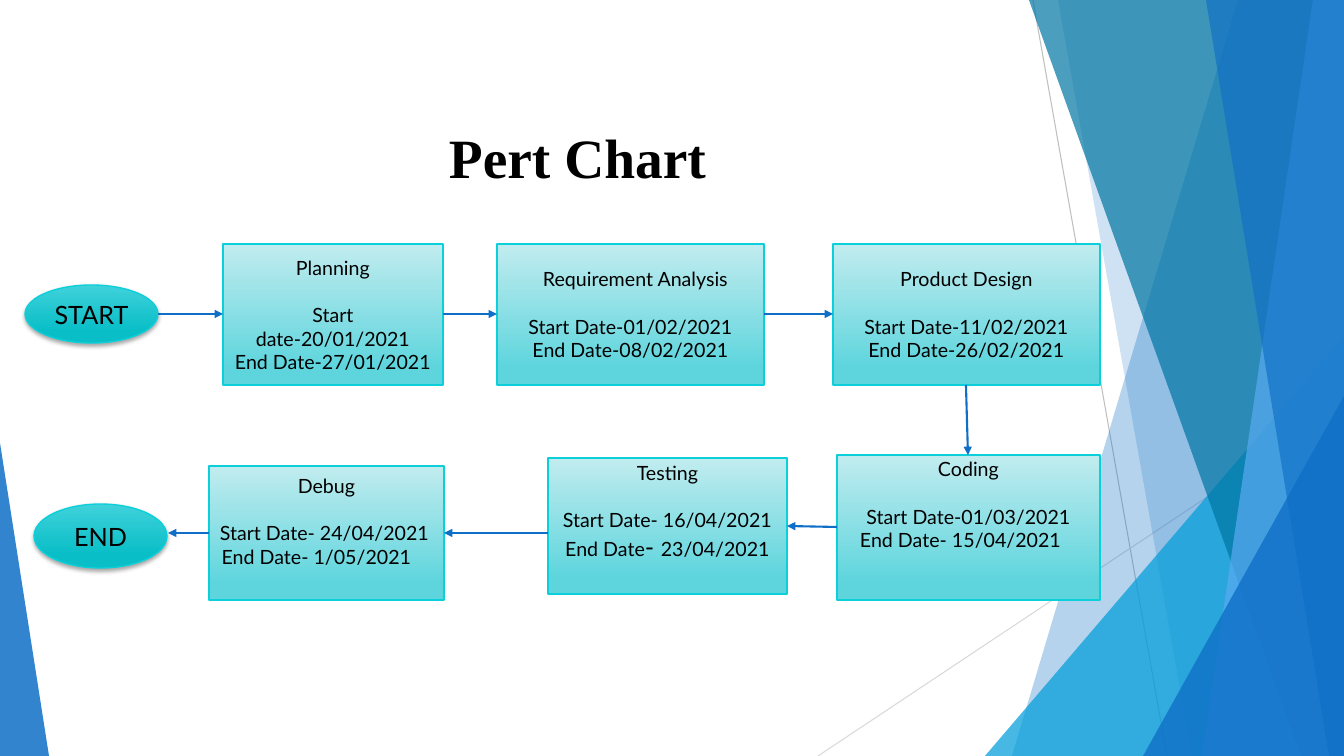
from lxml.etree import SubElement
from pptx import Presentation
from pptx.dml.color import RGBColor
from pptx.enum.shapes import MSO_CONNECTOR, MSO_SHAPE
from pptx.enum.text import MSO_ANCHOR, PP_ALIGN
from pptx.oxml.ns import qn
from pptx.util import Pt

PX = 914400 / 100.8
WIDTH, HEIGHT = 1344, 756

BLACK = RGBColor(0x00, 0x00, 0x00)
BLUE = RGBColor(0x0F, 0x6F, 0xC6)
SKY = RGBColor(0x00, 0x9D, 0xD9)
TEAL = RGBColor(0x00, 0x76, 0xA3)
LIGHT_BLUE = RGBColor(0x59, 0xAA, 0xF2)
GREY = RGBColor(0xBF, 0xBF, 0xBF)
PALE_GREY = RGBColor(0xD9, 0xD9, 0xD9)
CYAN = RGBColor(0x0B, 0xD0, 0xD9)
BOX_STOPS = (0, RGBColor(0xC1, 0xEC, 0xEF)), (0.88, RGBColor(0x5E, 0xD5, 0xDD))
OVAL_STOPS = (0, RGBColor(0x3F, 0xD2, 0xDB)), (0.78, RGBColor(0x0A, 0xBE, 0xC7))

# Full-height bands: x at the top, x at the bottom, colour, opacity in percent
BACK_BANDS = [(1238, 1012, BLUE, 30), (1058, 1192, BLUE, 20)]
FRONT_BANDS = [(1029, 1301, TEAL, 70), (1313, 1202, LIGHT_BLUE, 70),
               (1206, 1329, BLUE, 65)]

# Box, lines of text, upward lift of the text, sideways shift of each line
ACTIVITIES = [
    ((223, 244, 220, 141),
     ["Planning", "Start date-20/01/2021", "End Date-27/01/2021"], 0, (0, 0, 0)),
    ((497, 244, 267, 141),
     ["Requirement Analysis", "Start Date-01/02/2021", "End Date-08/02/2021"],
     0, (5, 0, 0)),
    ((833, 244, 267, 141),
     ["Product Design", "Start Date-11/02/2021", "End Date-26/02/2021"],
     0, (0, 0, 0)),
    ((548, 458, 239, 136),
     ["Testing", "Start Date- 16/04/2021",
      [("End Date", 14), ("- ", 18), ("23/04/2021", 14)]], 15, (0, 0, 0)),
    ((837, 455, 263, 145),
     ["Coding", "Start Date-01/03/2021", "End Date- 15/04/2021"],
     23, (0, 0, -8)),
    ((209, 466, 235, 134),
     ["Debug", "Start Date- 24/04/2021", "End Date- 1/05/2021"],
     12, (0, -2, -10)),
]
TERMINALS = [((25, 285, 133, 58), "START"), ((34, 504, 133, 64), "END")]
ARROWS = [
    (158, 314, 223, 314), (443, 314, 497, 314), (764, 314, 833, 314),
    (966, 385, 968, 455), (837, 527, 787, 526), (548, 533, 444, 533),
    (209, 533, 168, 533),
]


def px(n):
    return round(n * PX)


def write(p, text, size=14, font="Lato", color=BLACK, bold=False):
    r = p.add_run()
    r.text = text
    r.font.size = Pt(size)
    r.font.name = font
    r.font.color.rgb = color
    r.font.bold = bold


def paint(sp, color, opacity):
    sp.shadow.inherit = False
    sp.line.fill.background()
    sp.fill.solid()
    sp.fill.fore_color.rgb = color
    clr = sp.fill._xPr.find(qn("a:solidFill"))[0]
    SubElement(clr, qn("a:alpha"), val=str(opacity * 1000))


def add_band(shapes, top, bottom, color, opacity):
    """Fill from a slanted left edge to the right side of the slide."""
    builder = shapes.build_freeform(top, 0, scale=PX)
    builder.add_line_segments([(WIDTH, 0), (WIDTH, HEIGHT), (bottom, HEIGHT)])
    paint(builder.convert_to_shape(), color, opacity)


def add_corner(shapes, box, apex, color, opacity):
    """Add a triangle whose apex sits at 0 (left) to 1 (right)."""
    sp = shapes.add_shape(MSO_SHAPE.ISOSCELES_TRIANGLE, *map(px, box))
    sp.adjustments[0] = apex
    paint(sp, color, opacity)


def add_line(shapes, ends, color, width, arrow=False):
    line = shapes.add_connector(MSO_CONNECTOR.STRAIGHT, *map(px, ends))
    line.line.color.rgb = color
    line.line.width = Pt(width)
    if arrow:
        SubElement(line.line._get_or_add_ln(), qn("a:tailEnd"), type="triangle")
    SubElement(line._element.spPr, qn("a:effectLst"))


def add_backdrop(shapes):
    add_line(shapes, (1033, 0, 1167, HEIGHT), GREY, 0.75)
    add_line(shapes, (WIDTH, 406, 818, HEIGHT), PALE_GREY, 0.75)
    for band in BACK_BANDS:
        add_band(shapes, *band)
    add_corner(shapes, (985, 336, 359, 420), 1, SKY, 72)
    for band in FRONT_BANDS:
        add_band(shapes, *band)
    add_corner(shapes, (1143, 396, 201, 360), 1, BLUE, 80)
    add_corner(shapes, (0, 443, 49, 313), 0, BLUE, 85)


def add_title(title, box):
    title.left, title.top, title.width, title.height = map(px, box)
    tf = title.text_frame
    tf.vertical_anchor = MSO_ANCHOR.TOP
    tf.margin_left = px(425)
    p = tf.paragraphs[0]
    p.alignment = PP_ALIGN.LEFT
    write(p, "Pert Chart", size=39.6, font="Times New Roman", bold=True)


def add_node(shapes, kind, box, stops):
    """Add a gradient shape and return it with its text frame centred."""
    sp = shapes.add_shape(kind, *map(px, box))
    sp.shadow.inherit = False
    sp.line.color.rgb = CYAN
    sp.line.width = Pt(1)
    sp.fill.gradient()
    sp.fill.gradient_angle = 270
    for stop, (position, color) in zip(sp.fill.gradient_stops, stops):
        stop.position = position
        stop.color.rgb = color
    sp.text_frame.word_wrap = True
    sp.text_frame.vertical_anchor = MSO_ANCHOR.MIDDLE
    return sp


def add_activity(shapes, box, lines, lift, shifts):
    tf = add_node(shapes, MSO_SHAPE.RECTANGLE, box, BOX_STOPS).text_frame
    tf.margin_top = px(5)
    tf.margin_bottom = px(5 + 2 * lift)
    for i, (line, shift) in enumerate(zip(lines, shifts)):
        p = tf.add_paragraph() if i else tf.paragraphs[0]
        p.alignment = PP_ALIGN.CENTER
        if i == 1:
            p.space_before = Pt(17)
        if shift:
            side = "marL" if shift > 0 else "marR"
            p._p.get_or_add_pPr().set(side, str(px(2 * abs(shift))))
        for text, size in [(line, 14)] if isinstance(line, str) else line:
            write(p, text, size=size)


def add_terminal(shapes, box, text):
    sp = add_node(shapes, MSO_SHAPE.OVAL, box, OVAL_STOPS)
    p = sp.text_frame.paragraphs[0]
    p.alignment = PP_ALIGN.CENTER
    write(p, text, size=18)
    effects = sp._element.spPr.find(qn("a:effectLst"))
    shadow = SubElement(effects, qn("a:outerShdw"), blurRad=str(Pt(3)),
                        dist=str(Pt(2)), dir="5400000", rotWithShape="0")
    clr = SubElement(shadow, qn("a:srgbClr"), val=str(BLACK))
    SubElement(clr, qn("a:alpha"), val="35000")


def main():
    prs = Presentation()
    prs.slide_width, prs.slide_height = px(WIDTH), px(HEIGHT)
    s = prs.slides.add_slide(prs.slide_layouts[5])
    add_backdrop(s.shapes)
    add_title(s.shapes.title, (24, 118, 1253, 126))
    for activity in ACTIVITIES:
        add_activity(s.shapes, *activity)
    for terminal in TERMINALS:
        add_terminal(s.shapes, *terminal)
    for ends in ARROWS:
        add_line(s.shapes, ends, BLUE, 1.5, arrow=True)
    prs.save("out.pptx")


if __name__ == "__main__":
    main()
